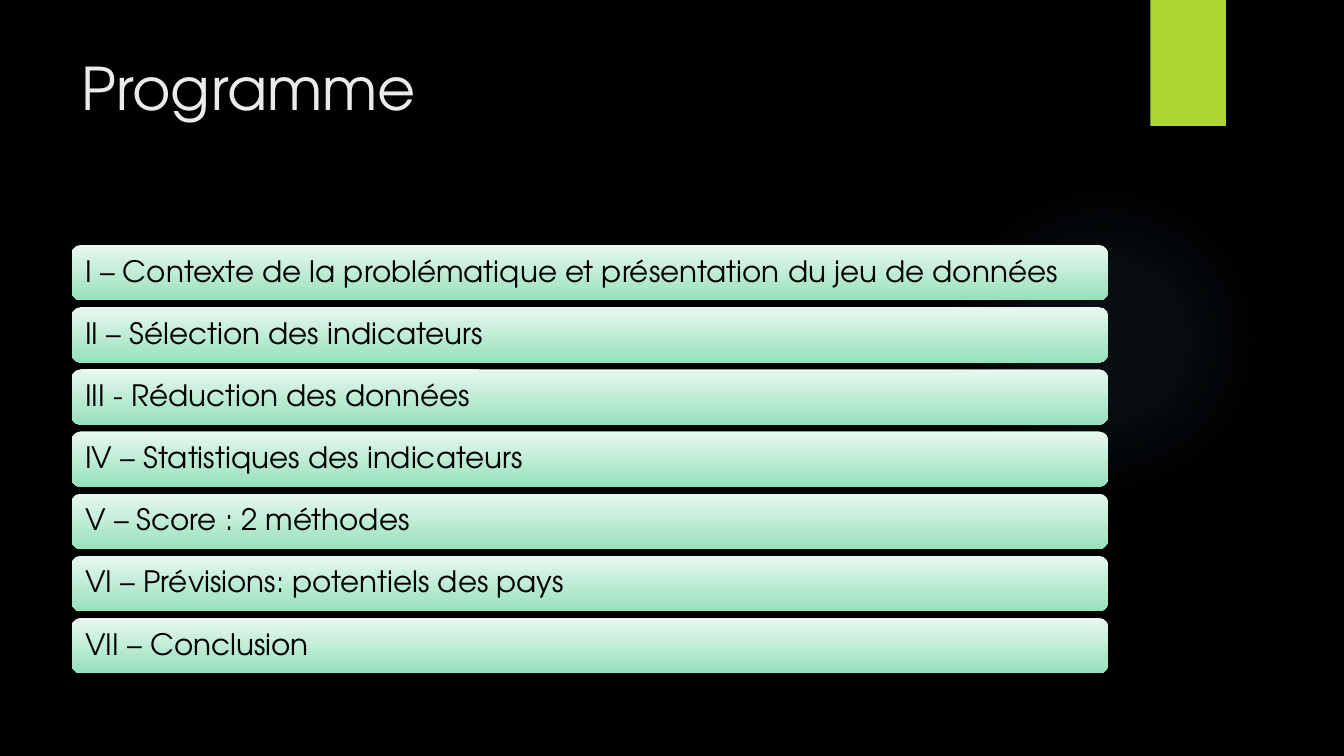
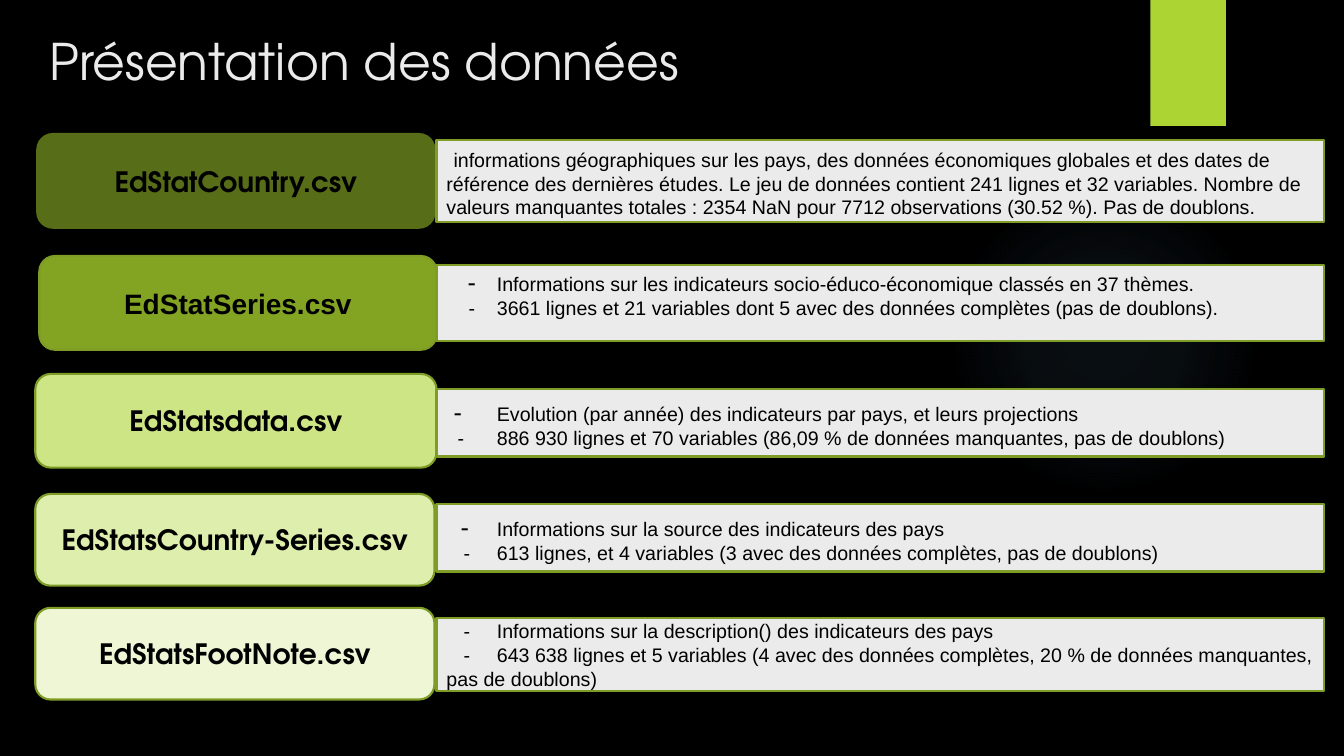
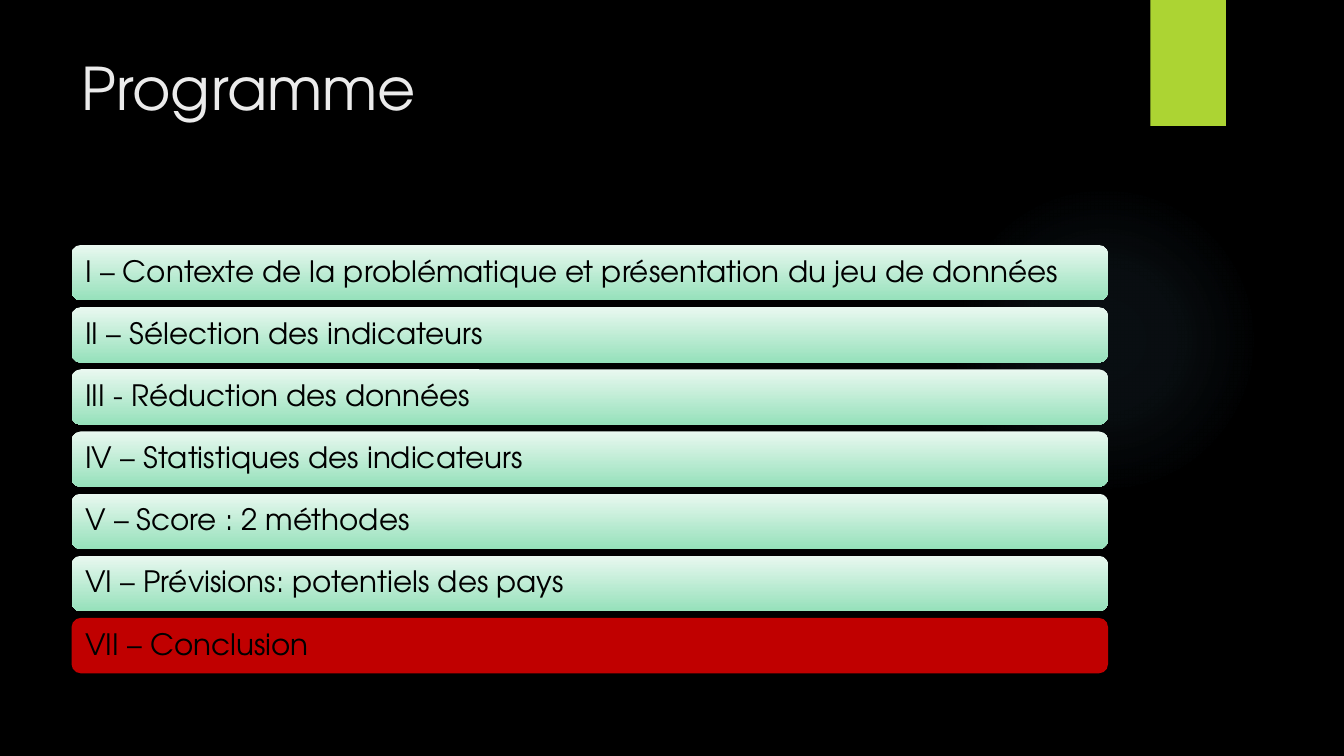
from lxml.etree import SubElement
from pptx import Presentation
from pptx.dml.color import RGBColor
from pptx.enum.shapes import MSO_SHAPE
from pptx.enum.text import MSO_ANCHOR, PP_ALIGN
from pptx.oxml import parse_xml
from pptx.oxml.ns import nsdecls, qn
from pptx.util import Inches, Pt

BLACK, PALE, LIME, OLIVE, RED = "000000", "EBEBEB", "ACD433", "7F9D26", "C00000"
MINT = ("E9F8F0", "96E1BB")
GLOW = "7AC4F0"
HEAD, BODY = "TeX Gyre Adventor", "Arial"

TOPICS = [
    "I – Contexte de la problématique et présentation du jeu de données",
    "II – Sélection des indicateurs",
    "III - Réduction des données",
    "IV – Statistiques des indicateurs",
    "V – Score : 2 méthodes",
    "VI – Prévisions: potentiels des pays",
    "VII – Conclusion",
]

# name, font, fill, line, (left, top, width, height)
FILES = [
    ("EdStatCountry.csv", HEAD, "576D17", "576D17", (0.37, 1.33, 3.94, 0.93)),
    ("EdStatSeries.csv", BODY, "83A322", OLIVE, (0.39, 2.54, 3.94, 0.93)),
    ("EdStatsdata.csv", HEAD, "CDE585", OLIVE, (0.35, 3.71, 3.98, 0.93)),
    ("EdStatsCountry-Series.csv", HEAD, "DEEEAD", OLIVE, (0.35, 4.9, 3.96, 0.91)),
    ("EdStatsFootNote.csv", HEAD, "EEF6D6", OLIVE, (0.35, 6.03, 3.96, 0.91)),
]

# top, height, inset above, anchor, [(indent, dash size or None, text)]
NOTES = [
    (1.39, 0.81, 0.1, MSO_ANCHOR.MIDDLE, [
        (0.07, None, "informations géographiques sur les pays, des données économiques "
         "globales et des dates de référence des dernières études. Le jeu de données "
         "contient 241 lignes et 32 variables. Nombre de valeurs manquantes totales : "
         "2354 NaN pour 7712 observations (30.52 %). Pas de doublons.")]),
    (2.63, 0.75, 0.01, MSO_ANCHOR.TOP, [
        (0.21, 18, "Informations sur les indicateurs socio-éduco-économique classés "
         "en 37 thèmes."),
        (0.22, 14, "3661 lignes et 21 variables dont 5 avec des données complètes "
         "(pas de doublons).")]),
    (3.86, 0.67, 0.05, MSO_ANCHOR.MIDDLE, [
        (0.07, 18, "Evolution (par année) des indicateurs par pays, et leurs projections"),
        (0.11, 14, "886 930 lignes et 70 variables (86,09 % de données manquantes, "
         "pas de doublons)")]),
    (5, 0.67, 0.05, MSO_ANCHOR.MIDDLE, [
        (0.14, 18, "Informations sur la source des indicateurs des pays"),
        (0.17, 14, "613 lignes, et 4 variables (3 avec des données complètes, "
         "pas de doublons)")]),
    (6.13, 0.73, 0.05, MSO_ANCHOR.MIDDLE, [
        (0.17, 14, "Informations sur la description() des indicateurs des pays"),
        (0.17, 14, "643 638 lignes et 5 variables (4 avec des données complètes, "
         "20 % de données manquantes, pas de doublons)")]),
]


def color(code):
    return RGBColor.from_string(code)


def style(run, size, face, shade=BLACK, bold=False):
    font = run.font
    font.size, font.name, font.bold = Pt(size), face, bold
    font.color.rgb = color(shade)


class Deck:
    def __init__(self):
        self.prs = Presentation()
        self.prs.slide_width, self.prs.slide_height = Inches(13.33), Inches(7.5)
        self.slide = None

    def page(self, title, left, top, size):
        """Start a slide with the shared background, glow, tab and title."""
        self.slide = self.prs.slides.add_slide(self.prs.slide_layouts[6])
        back = self.slide.background.fill
        back.solid()
        back.fore_color.rgb = color(BLACK)
        self.glow()
        self.shape(MSO_SHAPE.RECTANGLE, (11.41, 0, 0.75, 1.25), LIME)
        box = self.slide.shapes.add_textbox(
            Inches(left), Inches(top), Inches(10.29), Inches(1.08))
        frame = box.text_frame
        frame.word_wrap = True
        frame.text = title
        style(frame.paragraphs[0].runs[0], size, HEAD, PALE)

    def shape(self, kind, area, fill, line=None):
        """Add a preset shape; a pair of fills gives a downward gradient."""
        item = self.slide.shapes.add_shape(kind, *map(Inches, area))
        item.shadow.inherit = False
        if isinstance(fill, tuple):
            item.fill.gradient()
            item.fill.gradient_angle = 270
            for stop, shade in zip(item.fill.gradient_stops, fill):
                stop.color.rgb = color(shade)
        else:
            item.fill.solid()
            item.fill.fore_color.rgb = color(fill)
        if line:
            item.line.color.rgb = color(line)
            item.line.width = Pt(1.5)
        else:
            item.line.fill.background()
        item.text_frame.word_wrap = True
        item.text_frame.vertical_anchor = MSO_ANCHOR.MIDDLE
        return item

    def glow(self):
        item = self.shape(MSO_SHAPE.OVAL, (9.41, 1.83, 3.08, 3.08), GLOW)
        stops = "".join(
            f'<a:gs pos="{pos}000"><a:srgbClr val="{GLOW}">'
            f'<a:alpha val="{alpha}000"/></a:srgbClr></a:gs>'
            for pos, alpha in ((0, 7), (36, 6), (69, 0), (100, 0)))
        grad = parse_xml(
            f'<a:gradFill {nsdecls("a")} rotWithShape="1"><a:gsLst>{stops}</a:gsLst>'
            '<a:path path="circle"><a:fillToRect l="50000" t="50000" r="50000" '
            'b="50000"/></a:path></a:gradFill>')
        props = item.element.spPr
        props.replace(props.find(qn("a:solidFill")), grad)

    def topic(self, text, top, fill):
        item = self.shape(MSO_SHAPE.ROUNDED_RECTANGLE, (0.71, top, 10.28, 0.55), fill)
        frame = item.text_frame
        frame.margin_left = frame.margin_right = Inches(0.11)
        frame.text = text
        para = frame.paragraphs[0]
        para.alignment, para.line_spacing = PP_ALIGN.LEFT, 0.9
        style(para.runs[0], 21, HEAD)

    def label(self, text, face, fill, line, area):
        item = self.shape(MSO_SHAPE.ROUNDED_RECTANGLE, area, fill, line)
        item.text_frame.text = text
        para = item.text_frame.paragraphs[0]
        para.alignment = PP_ALIGN.CENTER
        style(para.runs[0], 20, face, bold=True)

    def note(self, top, height, inset, anchor, items):
        item = self.shape(MSO_SHAPE.RECTANGLE, (4.33, top, 8.8, height), PALE, OLIVE)
        frame = item.text_frame
        frame.margin_top, frame.vertical_anchor = Inches(inset), anchor
        for i, (indent, dash, text) in enumerate(items):
            para = frame.add_paragraph() if i else frame.paragraphs[0]
            self.entry(para, indent, dash, text)

    def entry(self, para, indent, dash, text):
        """Write one paragraph: first-line indent, then an optional dash and tab."""
        props = para._p.get_or_add_pPr()
        props.set("marL", "0")
        props.set("indent", str(Inches(indent)))
        para.alignment = PP_ALIGN.LEFT
        if dash:
            tabs = SubElement(props, qn("a:tabLst"))
            place = Inches(indent + (0.15 if dash == 18 else 0.16))
            SubElement(tabs, qn("a:tab"), pos=str(place), algn="l")
            para.text = "-"
            style(para.runs[0], dash, BODY)
            text = "\t" + text
        run = para.add_run()
        run.text = text
        style(run, 14, BODY)


def agenda(deck, active=None):
    """Draw the programme, with the active topic in red."""
    deck.page("Programme", 0.71, 0.46, 42)
    for i, text in enumerate(TOPICS):
        deck.topic(text, 2.43 + i * 3.7 / 6, RED if i == active else MINT)


def data(deck):
    deck.page("Présentation des données", 0.39, 0.25, 36)
    for row in FILES:
        deck.label(*row)
    for row in NOTES:
        deck.note(*row)


def main():
    deck = Deck()
    agenda(deck)
    data(deck)
    agenda(deck, active=6)
    deck.prs.save("out.pptx")


if __name__ == "__main__":
    main()
